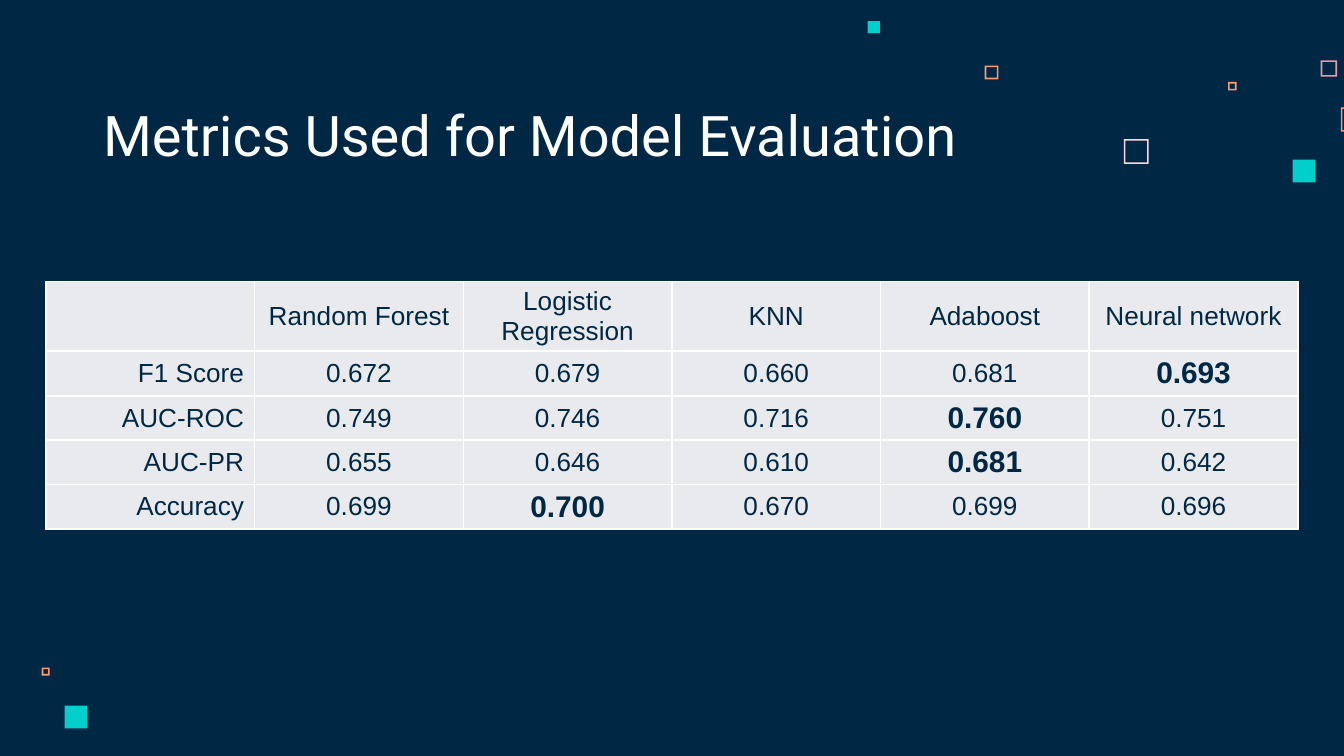
import pptx
import pptx.dml.color
import pptx.enum.shapes
import pptx.enum.text
import pptx.oxml
import pptx.oxml.ns
import pptx.util
from pptx.dml.color import RGBColor
from pptx.util import Cm, Pt

NAVY = RGBColor(0x00, 0x28, 0x45)
WHITE = RGBColor(0xFF, 0xFF, 0xFF)
CELL_GREY = RGBColor(0xE8, 0xEA, 0xEE)
TEAL = RGBColor(0x00, 0xCF, 0xCC)
ORANGE = RGBColor(0xFF, 0x99, 0x73)
PINK = RGBColor(0xFF, 0xD6, 0xE1)
ROSE = RGBColor(0xE8, 0x98, 0xAC)

PP_ALIGN = pptx.enum.text.PP_ALIGN
MSO_ANCHOR = pptx.enum.text.MSO_ANCHOR

# left, top, side (cm), colour
FRAMES = [
    (21.24, 2.63, 0.47, PINK),
    (24.96, 1.14, 0.31, ROSE),
    (23.21, 1.55, 0.16, ORANGE),
    (25.34, 2.03, 0.46, ORANGE),
    (18.61, 1.24, 0.26, ORANGE),
    (0.79, 12.62, 0.15, ORANGE),
]
SQUARES = [
    (24.43, 3.02, 0.43, TEAL),
    (16.4, 0.4, 0.23, TEAL),
    (1.22, 13.34, 0.43, TEAL),
]
MODELS = ["", "Random Forest", "Logistic Regression", "KNN", "Adaboost", "Neural network"]
SCORES = [
    ["F1 Score", "0.672", "0.679", "0.660", "0.681", "0.693"],
    ["AUC-ROC", "0.749", "0.746", "0.716", "0.760", "0.751"],
    ["AUC-PR", "0.655", "0.646", "0.610", "0.681", "0.642"],
    ["Accuracy", "0.699", "0.700", "0.670", "0.699", "0.696"],
]


class SlideBuilder:
    title_font = "Roboto"
    body_font = "Arial"

    def __init__(self, slide):
        self.slide = slide
        fill = slide.background.fill
        fill.solid()
        fill.fore_color.rgb = NAVY

    def paint(self, sp, color):
        sp.shadow.inherit = False
        sp.fill.solid()
        sp.fill.fore_color.rgb = color
        sp.line.fill.background()

    def square(self, left, top, side, color):
        sp = self.slide.shapes.add_shape(
            pptx.enum.shapes.MSO_SHAPE.RECTANGLE, Cm(left), Cm(top), Cm(side), Cm(side))
        self.paint(sp, color)

    def frame(self, left, top, side, color, edge=0.03):
        """Draw a hollow square as two contours wound in opposite directions."""
        x1, y1, x2, y2 = (Cm(v) for v in (left, top, left + side, top + side))
        e = Cm(edge)
        fb = self.slide.shapes.build_freeform(x1, y1)
        fb.add_line_segments([(x1, y2), (x2, y2), (x2, y1)])
        fb.move_to(x2 - e, y1 + e)
        fb.add_line_segments([(x2 - e, y2 - e), (x1 + e, y2 - e), (x1 + e, y1 + e)])
        self.paint(fb.convert_to_shape(), color)

    def title(self, text, left, top, width, height):
        sp = self.slide.shapes.title
        sp.left, sp.top, sp.width, sp.height = Cm(left), Cm(top), Cm(width), Cm(height)
        tf = sp.text_frame
        tf.text = text
        tf.word_wrap = True
        tf.auto_size = pptx.enum.text.MSO_AUTO_SIZE.NONE
        tf.vertical_anchor = MSO_ANCHOR.BOTTOM
        tf.margin_left = tf.margin_right = tf.margin_top = tf.margin_bottom = Cm(0.25)
        p = tf.paragraphs[0]
        p.alignment = PP_ALIGN.LEFT
        self.font(p, self.title_font, 30, WHITE)

    def font(self, p, name, size, color, bold=False):
        p.font.name = name
        p.font.size = Pt(size)
        p.font.bold = bold
        p.font.color.rgb = color

    def borders(self, cell):
        tc_pr = cell._tc.get_or_add_tcPr()
        for side in ("lnL", "lnR", "lnT", "lnB"):
            tc_pr.append(pptx.oxml.parse_xml(
                f'<a:{side} {pptx.oxml.ns.nsdecls("a")} w="{Pt(1)}"><a:solidFill>'
                f'<a:srgbClr val="{WHITE}"/></a:solidFill></a:{side}>'))

    def cell(self, cell, text, align, best):
        self.borders(cell)
        cell.fill.solid()
        cell.fill.fore_color.rgb = CELL_GREY
        cell.vertical_anchor = MSO_ANCHOR.MIDDLE
        cell.margin_left = cell.margin_right = Cm(0.2)
        cell.margin_top = cell.margin_bottom = Cm(0.1)
        cell.text = text
        p = cell.text_frame.paragraphs[0]
        p.alignment = align
        self.font(p, self.body_font, 16 if best else 14, NAVY, best)

    def table(self, header, rows, left, top, width, header_height, row_height):
        """Add the score table, with the best score of each row emphasised."""
        height = header_height + row_height * len(rows)
        table = self.slide.shapes.add_table(
            len(rows) + 1, len(header), Cm(left), Cm(top), Cm(width), Cm(height)).table
        table.first_row = table.horz_banding = False
        for i, values in enumerate([header] + rows):
            table.rows[i].height = Cm(row_height if i else header_height)
            for j, text in enumerate(values):
                best = i > 0 and j > 0 and text == max(values[1:])
                align = PP_ALIGN.CENTER if j else PP_ALIGN.RIGHT
                self.cell(table.cell(i, j), text, align, best)


def main():
    prs = pptx.Presentation()
    prs.slide_width, prs.slide_height = Cm(25.4), Cm(14.29)
    builder = SlideBuilder(prs.slides.add_slide(prs.slide_layouts[5]))
    for frame in FRAMES:
        builder.frame(*frame)
    for square in SQUARES:
        builder.square(*square)
    builder.title("Metrics Used for Model Evaluation", 1.7, 1.83, 18.42, 1.6)
    builder.table(MODELS, SCORES, 0.87, 5.32, 23.66, 1.32, 0.84)
    prs.save("out.pptx")


if __name__ == "__main__":
    main()
